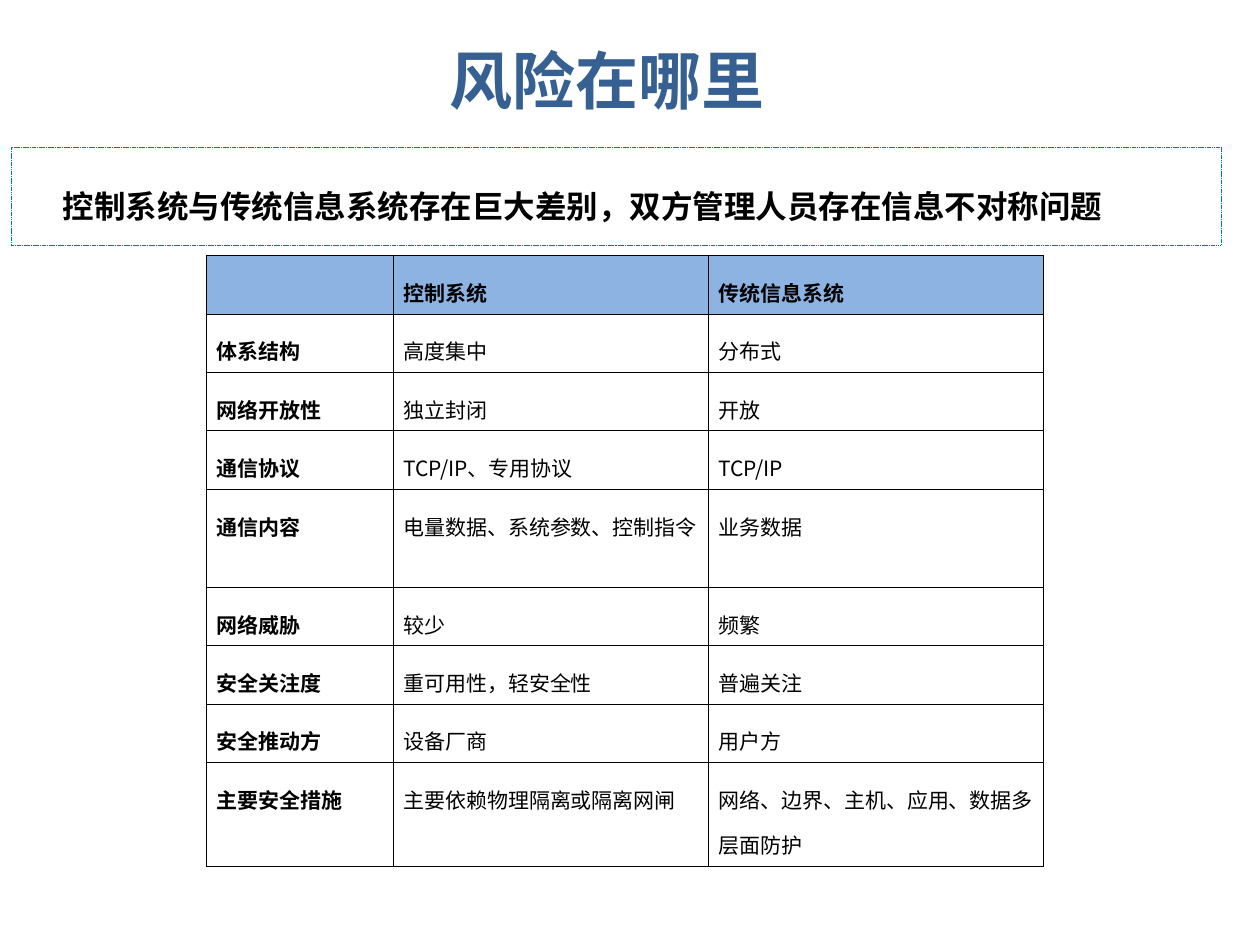
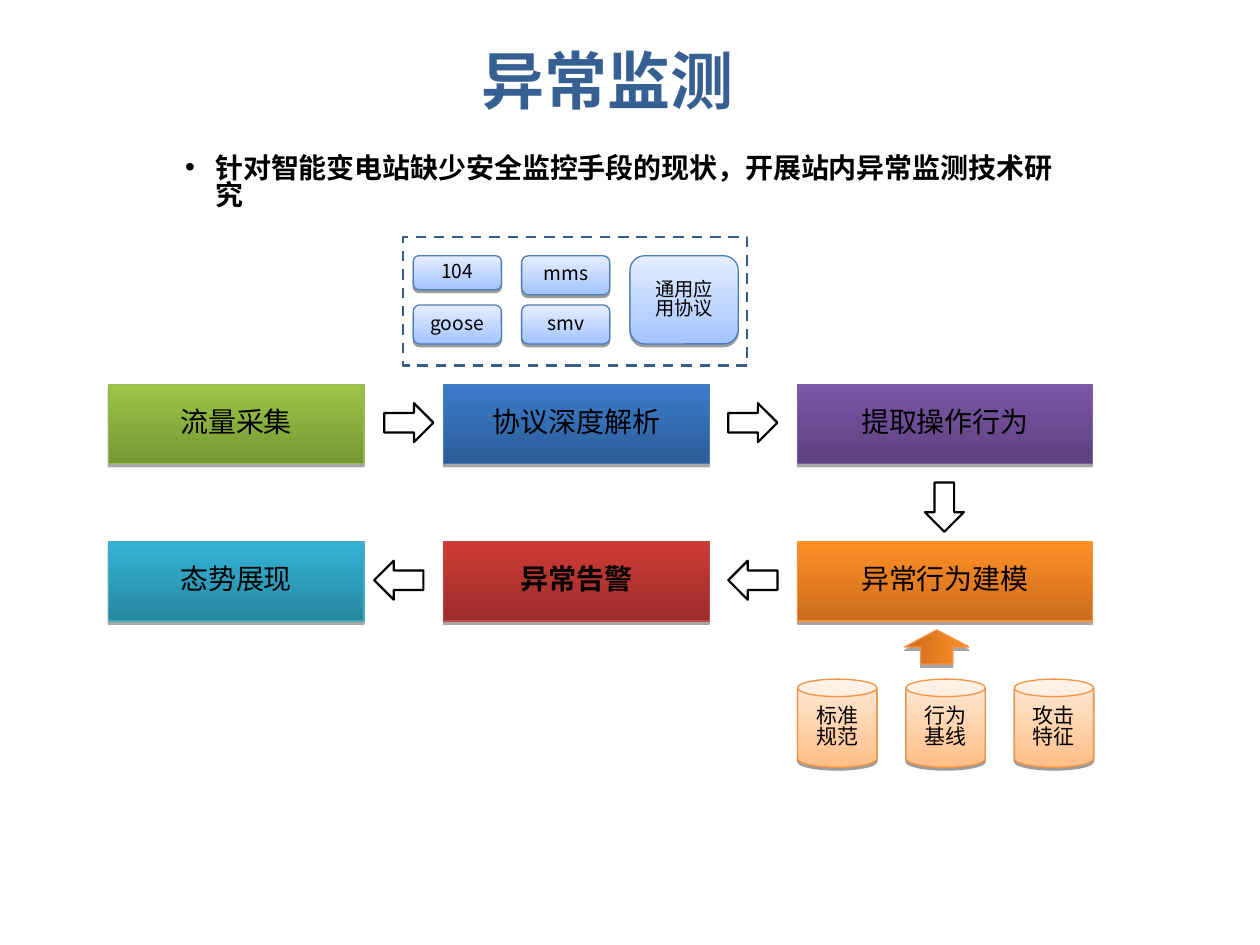
"""Build two slides on control system risk and anomaly monitoring."""
from itertools import groupby

from lxml import etree
from pptx import Presentation
from pptx import util as u
from pptx.dml.color import RGBColor
from pptx.enum import dml, shapes, text
from pptx.oxml.ns import qn

BLACK = RGBColor(0x00, 0x00, 0x00)
WHITE = RGBColor(0xFF, 0xFF, 0xFF)
TITLE_BLUE = RGBColor(0x37, 0x60, 0x92)
TEAL = RGBColor(0x00, 0x80, 0x80)
HEADER_BLUE = RGBColor(0x8D, 0xB3, 0xE2)
DASH_BLUE = RGBColor(0x38, 0x5D, 0x8A)
GREEN = [RGBColor.from_string(c) for c in ("769535", "9CC746", "98B954")]
BLUE = [RGBColor.from_string(c) for c in ("2C5D98", "3A7CCB", "4A7EBB")]
PURPLE = [RGBColor.from_string(c) for c in ("5D417E", "7B57A8", "7D60A0")]
ORANGE = [RGBColor.from_string(c) for c in ("CB6C1D", "FF8F26", "F69240")]
RED = [RGBColor.from_string(c) for c in ("9B2D2A", "CE3B37", "BE4B48")]
CYAN = [RGBColor.from_string(c) for c in ("2787A0", "34B3D6", "46AAC5")]
PALE_BLUE = [RGBColor.from_string(c) for c in ("A3C4FF", "E5EEFF", "4A7EBB")]
PALE_ORANGE = [RGBColor.from_string(c) for c in ("FFBE86", "FFEBDB", "F69240")]
CJK = "Noto Sans CJK SC"
SHAPE = shapes.MSO_SHAPE
ALIGN = text.PP_ALIGN


def write(frame, content, size, bold=False, color=BLACK, align=ALIGN.CENTER,
          spacing=0.82, cjk_latin=CJK):
    frame.word_wrap = True
    paragraph = frame.paragraphs[0]
    paragraph.alignment = align
    paragraph.line_spacing = spacing
    for is_ascii, letters in groupby(content, str.isascii):
        run = paragraph.add_run()
        run.text = "".join(letters)
        run.font.name = CJK if is_ascii else cjk_latin
        run.font.size = u.Pt(size)
        run.font.bold = bold
        run.font.color.rgb = color
        etree.SubElement(run.font._element, qn("a:ea"), typeface=CJK)
    return paragraph


def add_block(slide, kind, box, palette=None, fill=None, line=BLACK, weight=0.75,
              angle=90, shadow=(35, 1.8)):
    block = slide.shapes.add_shape(kind, *(u.Inches(v) for v in box))
    block.shadow.inherit = False
    block.line.width = u.Pt(weight)
    block.text_frame.vertical_anchor = text.MSO_ANCHOR.MIDDLE
    if palette:
        block.fill.gradient()
        block.fill.gradient_angle = angle
        for stop, shade in zip(block.fill.gradient_stops, palette):
            stop.color.rgb = shade
        line = palette[2]
        opacity, distance = shadow
        effects = block._element.spPr.find(qn("a:effectLst"))
        outer = etree.SubElement(effects, qn("a:outerShdw"), blurRad="0", dir="5400000",
                                 dist=str(u.Pt(distance)), rotWithShape="0")
        tint = etree.SubElement(outer, qn("a:srgbClr"), val="000000")
        etree.SubElement(tint, qn("a:alpha"), val=str(opacity * 1000))
    elif fill:
        block.fill.solid()
        block.fill.fore_color.rgb = fill
    else:
        block.fill.background()
    block.line.color.rgb = line
    return block


deck = Presentation()
deck.slide_width, deck.slide_height = u.Inches(10), u.Inches(7.5)
slides = []
for heading in ("风险在哪里", "异常监测"):
    slide = deck.slides.add_slide(deck.slide_layouts[5])
    title = slide.shapes.title
    title.left, title.top = u.Inches(1.25), u.Inches(0.23)
    title.width, title.height = u.Inches(7.14), u.Inches(0.8)
    title.text_frame.vertical_anchor = text.MSO_ANCHOR.MIDDLE
    write(title.text_frame, heading, 36, True, TITLE_BLUE, spacing=1.0)
    slides.append(slide)
risk, monitoring = slides

claim = add_block(risk, SHAPE.RECTANGLE, (0.09, 1.17, 9.6, 0.78), line=TEAL, weight=0.25)
claim.line.dash_style = dml.MSO_LINE.SQUARE_DOT
sentence = write(claim.text_frame, "控制系统与传统信息系统存在巨大差别，双方管理人员存在信息不对称问题",
                 18, True, align=ALIGN.LEFT, spacing=1.5)
sentence._p.get_or_add_pPr().set("marL", str(u.Inches(0.31)))

differences = [
    ("", "控制系统", "传统信息系统"),
    ("体系结构", "高度集中", "分布式"),
    ("网络开放性", "独立封闭", "开放"),
    ("通信协议", "TCP/IP、专用协议", "TCP/IP"),
    ("通信内容", "电量数据、系统参数、控制指令", "业务数据"),
    ("网络威胁", "较少", "频繁"),
    ("安全关注度", "重可用性，轻安全性", "普遍关注"),
    ("安全推动方", "设备厂商", "用户方"),
    ("主要安全措施", "主要依赖物理隔离或隔离网闸", "网络、边界、主机、应用、数据多层面防护"),
]
comparison = risk.shapes.add_table(len(differences), 3, u.Inches(1.64), u.Inches(2.03),
                                   u.Inches(6.64), u.Inches(4.22)).table
comparison.first_row = comparison.horz_banding = False
for column, width in zip(comparison.columns, (1.48, 2.5, 2.66)):
    column.width = u.Inches(width)
for r, entries in enumerate(differences):
    comparison.rows[r].height = u.Inches(0.78 if r in (4, 8) else 0.46)
    for c, entry in enumerate(entries):
        cell = comparison.cell(r, c)
        cell.margin_left = cell.margin_right = u.Inches(0.08)
        write(cell.text_frame, entry, 12, r == 0 or c == 0, align=ALIGN.JUSTIFY,
              spacing=1.5, cjk_latin="Calibri")
        properties = cell._tc.get_or_add_tcPr()
        for side in ("lnL", "lnR", "lnT", "lnB"):
            border = etree.SubElement(properties, qn("a:" + side), w=str(u.Pt(0.45)))
            paint = etree.SubElement(border, qn("a:solidFill"))
            etree.SubElement(paint, qn("a:srgbClr"), val=str(BLACK))
        if r == 0:
            cell.fill.solid()
            cell.fill.fore_color.rgb = HEADER_BLUE
        else:
            cell.fill.background()

aim = monitoring.shapes.add_textbox(u.Inches(1.37), u.Inches(1.19), u.Inches(7.15), u.Inches(0.64))
goal = aim.text_frame.paragraphs[0]._p.get_or_add_pPr()
goal.set("marL", str(u.Inches(0.24)))
goal.set("indent", str(u.Inches(-0.24)))
etree.SubElement(goal, qn("a:buFont"), typeface="Arial")
etree.SubElement(goal, qn("a:buChar"), char="•")
write(aim.text_frame, "针对智能变电站缺少安全监控手段的现状，开展站内异常监测技术研究",
      16, True, align=ALIGN.LEFT)

columns = [(0.86, 2.03), (3.52, 2.11), (6.33, 2.34)]
stages = [
    (3.05, [("流量采集", GREEN), ("协议深度解析", BLUE), ("提取操作行为", PURPLE)]),
    (4.3, [("态势展现", CYAN), ("异常告警", RED), ("异常行为建模", ORANGE)]),
]
for top, row in stages:
    for (left, width), (stage, palette) in zip(columns, row):
        step = add_block(monitoring, SHAPE.RECTANGLE, (left, top, width, 0.63), palette)
        write(step.text_frame, stage, 16, palette is RED)

protocols = [
    ("104", 3.28, 2.03, 0.7, 0.27),
    ("mms", 4.14, 2.03, 0.7, 0.31),
    ("goose", 3.28, 2.42, 0.7, 0.31),
    ("smv", 4.14, 2.42, 0.7, 0.31),
    ("通用应用协议", 5, 2.03, 0.86, 0.7),
]
for protocol, *box in protocols:
    tile = add_block(monitoring, SHAPE.ROUNDED_RECTANGLE, box, PALE_BLUE, shadow=(38, 1.6))
    write(tile.text_frame, protocol, 11)
group = add_block(monitoring, SHAPE.RECTANGLE, (3.2, 1.88, 2.73, 1.02), line=DASH_BLUE, weight=1.5)
group.line.dash_style = dml.MSO_LINE.DASH

for i, source in enumerate(("标准规范", "行为基线", "攻击特征")):
    store = add_block(monitoring, SHAPE.CAN, (6.33 + 0.86 * i, 5.39, 0.63, 0.7),
                      PALE_ORANGE, shadow=(38, 1.6))
    store.adjustments[0] = 0.22
    write(store.text_frame, source, 12)

add_block(monitoring, SHAPE.UP_ARROW, (7.18, 5, 0.51, 0.27), ORANGE, angle=0)
arrows = [
    (SHAPE.DOWN_ARROW, 7.34, 3.83, 0.31, 0.39),
    (SHAPE.LEFT_ARROW, 5.78, 4.45, 0.39, 0.31),
    (SHAPE.LEFT_ARROW, 2.97, 4.45, 0.39, 0.31),
    (SHAPE.RIGHT_ARROW, 3.05, 3.2, 0.39, 0.31),
    (SHAPE.RIGHT_ARROW, 5.78, 3.2, 0.39, 0.31),
]
for direction, *box in arrows:
    add_block(monitoring, direction, box, fill=WHITE, weight=1.25)

deck.save("out.pptx")
